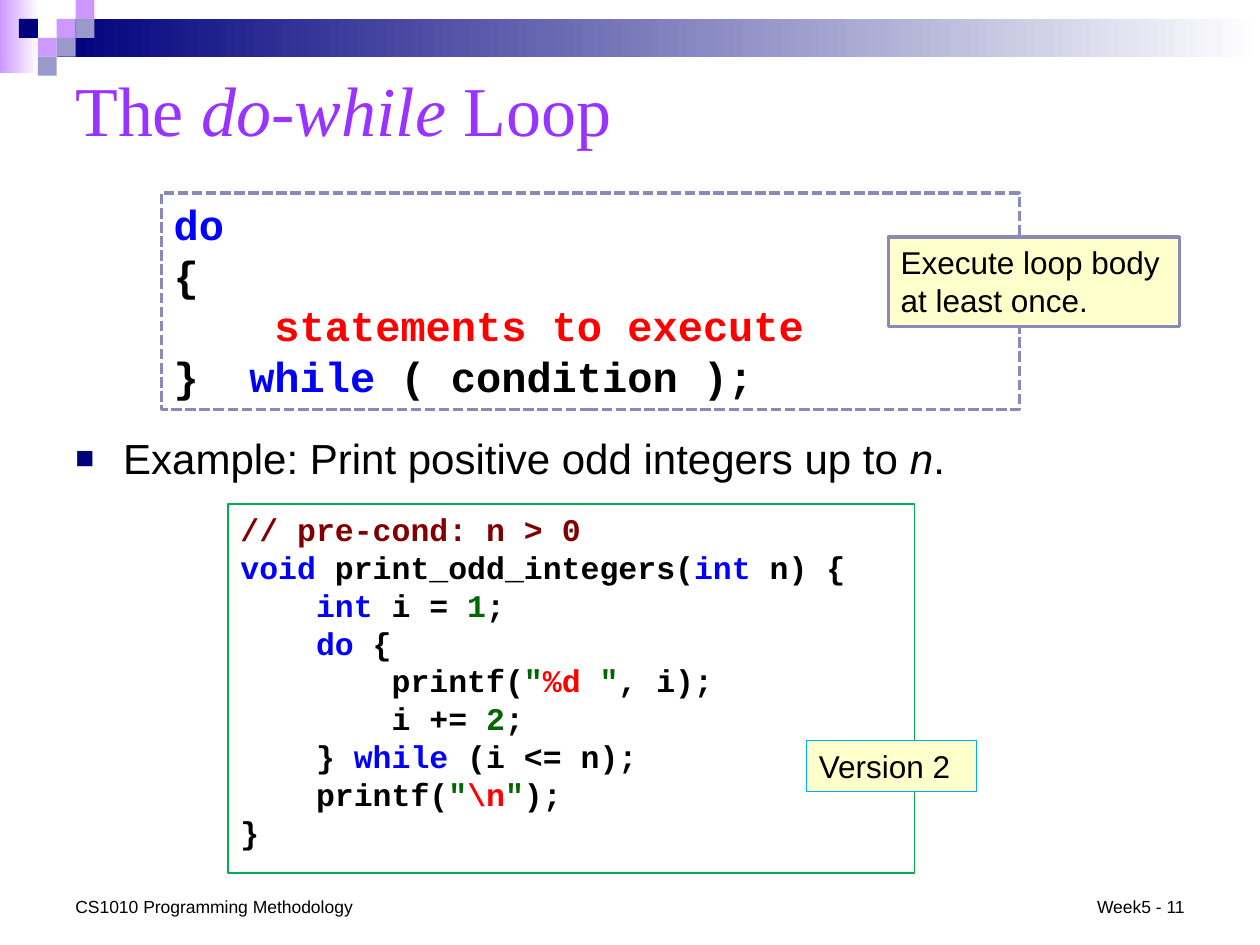
"""Build a lecture slide that explains the do-while loop."""
from dataclasses import dataclass

from lxml import etree
from pptx import Presentation
from pptx import util as u
from pptx.dml.color import RGBColor
from pptx.enum import dml, shapes, text
from pptx.oxml.ns import qn


@dataclass(frozen=True)
class Theme:
    sans: str = "Arial"
    serif: str = "Times New Roman"
    mono: str = "Courier New"
    title_size: int = 40
    large: int = 24
    medium: int = 18
    small: int = 10
    ink: str = "000000"
    paper: str = "FFFFFF"
    note: str = "FFFFCC"
    title: str = "9933FF"
    navy: str = "00007D"
    lilac: str = "CC99FF"
    slate: str = "9999CC"
    frame: str = "8A8AB9"
    green_frame: str = "00B050"
    cyan_frame: str = "00B0F0"
    keyword: str = "0000FF"
    comment: str = "800000"
    literal: str = "006600"
    accent: str = "FF0000"


def apply(target, values):
    for name, value in values.items():
        setattr(target, name, value)


class SlideBuilder:
    def __init__(self, slide, theme):
        self.slide = slide
        self.theme = theme

    def rectangle(self, box, fill, line=None, width=0.75, dash=None):
        area = self.slide.shapes.add_shape(
            shapes.MSO_SHAPE.RECTANGLE, *map(u.Inches, box))
        area.shadow.inherit = False
        area.fill.solid()
        area.fill.fore_color.rgb = RGBColor.from_string(fill)
        if line:
            area.line.color.rgb = RGBColor.from_string(line)
            apply(area.line, {"width": u.Pt(width), "dash_style": dash})
        else:
            area.line.fill.background()
        return area

    def gradient(self, box, start):
        band = self.rectangle(box, start)
        band.fill.gradient()
        band.fill.gradient_angle = 0
        for stop, colour, position in zip(
                band.fill.gradient_stops, (start, self.theme.paper), (0, 1)):
            stop.color.rgb = RGBColor.from_string(colour)
            stop.position = position

    def set_lines(self, holder, lines, font, size, colour=None, bold=False,
                  anchor=text.MSO_ANCHOR.TOP, align=text.PP_ALIGN.LEFT, wrap=True):
        frame = holder.text_frame
        apply(frame, {"word_wrap": wrap, "vertical_anchor": anchor})
        for index, line in enumerate(lines):
            paragraph = frame.add_paragraph() if index else frame.paragraphs[0]
            paragraph.alignment = align
            for words, *style in line:
                run = paragraph.add_run()
                run.text = words
                tint = style[0] if style else colour or self.theme.ink
                apply(run.font, {"name": font, "size": u.Pt(size), "bold": bold,
                                 "italic": "italic" in style[1:]})
                run.font.color.rgb = RGBColor.from_string(tint)
        return frame

    def label(self, box, parts, font, size, **options):
        holder = self.slide.shapes.add_textbox(*map(u.Inches, box))
        return self.set_lines(holder, [parts], font, size, **options)

    def bullet(self, box, parts):
        frame = self.label(box, parts, self.theme.sans, self.theme.large)
        properties = frame.paragraphs[0]._p.get_or_add_pPr()
        indent = u.Inches(0.38)
        properties.set("marL", str(indent))
        properties.set("indent", str(-indent))
        colour = etree.SubElement(properties, qn("a:buClr"))
        etree.SubElement(colour, qn("a:srgbClr"), val=self.theme.navy)
        etree.SubElement(properties, qn("a:buSzPct"), val="75000")
        etree.SubElement(properties, qn("a:buFont"), typeface=self.theme.sans)
        etree.SubElement(properties, qn("a:buChar"), char="■")

    def code(self, box, lines, size, **border):
        panel = self.rectangle(box, self.theme.paper, **border)
        self.set_lines(panel, lines, self.theme.mono, size, bold=True)

    def callout(self, box, words, **border):
        panel = self.rectangle(box, self.theme.note, **border)
        self.set_lines(panel, [[(words,)]], self.theme.sans, self.theme.medium)

    def banner(self):
        theme, cell = self.theme, 0.15
        self.gradient((0, 0, 0.31, 0.58), theme.lilac)
        self.gradient((0.45, 0.15, 9.55, 0.3), theme.navy)
        tiles = {theme.lilac: [(3, 1), (4, 0), (2, 2)],
                 theme.slate: [(4, 1), (3, 2), (2, 3)],
                 theme.navy: [(1, 1)]}
        for colour, places in tiles.items():
            for column, row in places:
                self.rectangle((column * cell, row * cell, cell, cell), colour)


def main():
    theme = Theme()
    deck = Presentation()
    apply(deck, {"slide_width": u.Inches(10), "slide_height": u.Inches(7.5)})
    page = SlideBuilder(deck.slides.add_slide(deck.slide_layouts[6]), theme)
    keyword, literal, accent = theme.keyword, theme.literal, theme.accent

    syntax = [
        [("do", keyword)],
        [("{",)],
        [("    ",), ("statements to execute", accent)],
        [("}  ",), ("while", keyword), (" ( condition );",)],
    ]
    odd_integers = [
        [("// pre-cond: n > 0", theme.comment)],
        [("void ", keyword), ("print_odd_integers(",), ("int ", keyword), ("n) {",)],
        [("    ",), ("int ", keyword), ("i = ",), ("1", literal), (";",)],
        [("    ",), ("do", keyword), (" {",)],
        [("        printf(",), ('"', literal), ("%d ", accent), ('"', literal),
         (", i);",)],
        [("        i += ",), ("2", literal), (";",)],
        [("    } ",), ("while", keyword), (" (i <= n);",)],
        [("    printf(",), ('"', literal), ("\\n", accent), ('"', literal), (");",)],
        [("}",)],
    ]

    page.banner()
    page.label((0.5, 7.06, 2.42, 0.27), [("CS1010 Programming Methodology",)],
               theme.sans, theme.small)
    page.code((1.28, 1.53, 6.81, 1.72), syntax, theme.large, line=theme.frame,
              width=2, dash=dml.MSO_LINE.SQUARE_DOT)
    page.code((1.81, 4, 5.45, 2.93), odd_integers, theme.medium,
              line=theme.green_frame)
    page.callout((7.05, 1.88, 2.31, 0.71), "Execute loop body at least once.",
                 line=theme.frame, width=2)
    page.label((8.58, 7.06, 0.92, 0.27), [("Week5 - 11",)], theme.sans, theme.small,
               anchor=text.MSO_ANCHOR.BOTTOM, align=text.PP_ALIGN.RIGHT, wrap=False)
    page.label((0.5, 0.42, 9, 0.88),
               [("The ",), ("do-while ", theme.title, "italic"), ("Loop",)],
               theme.serif, theme.title_size, colour=theme.title,
               anchor=text.MSO_ANCHOR.MIDDLE)
    page.bullet((0.5, 3.38, 9, 0.5),
                [("Example: Print positive odd integers up to ",),
                 ("n", theme.ink, "italic"), (".",)])
    page.callout((6.4, 5.88, 1.35, 0.4), "Version 2", line=theme.cyan_frame)
    deck.save("out.pptx")


if __name__ == "__main__":
    main()
